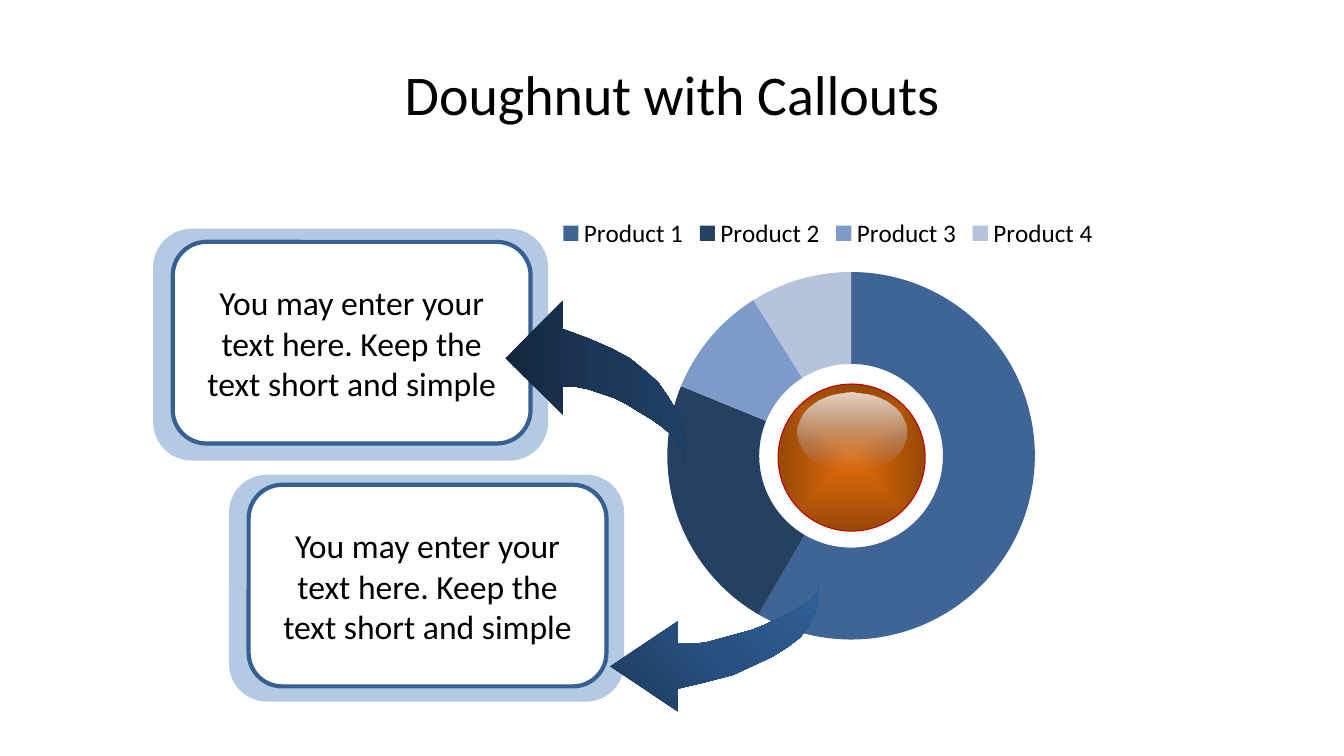
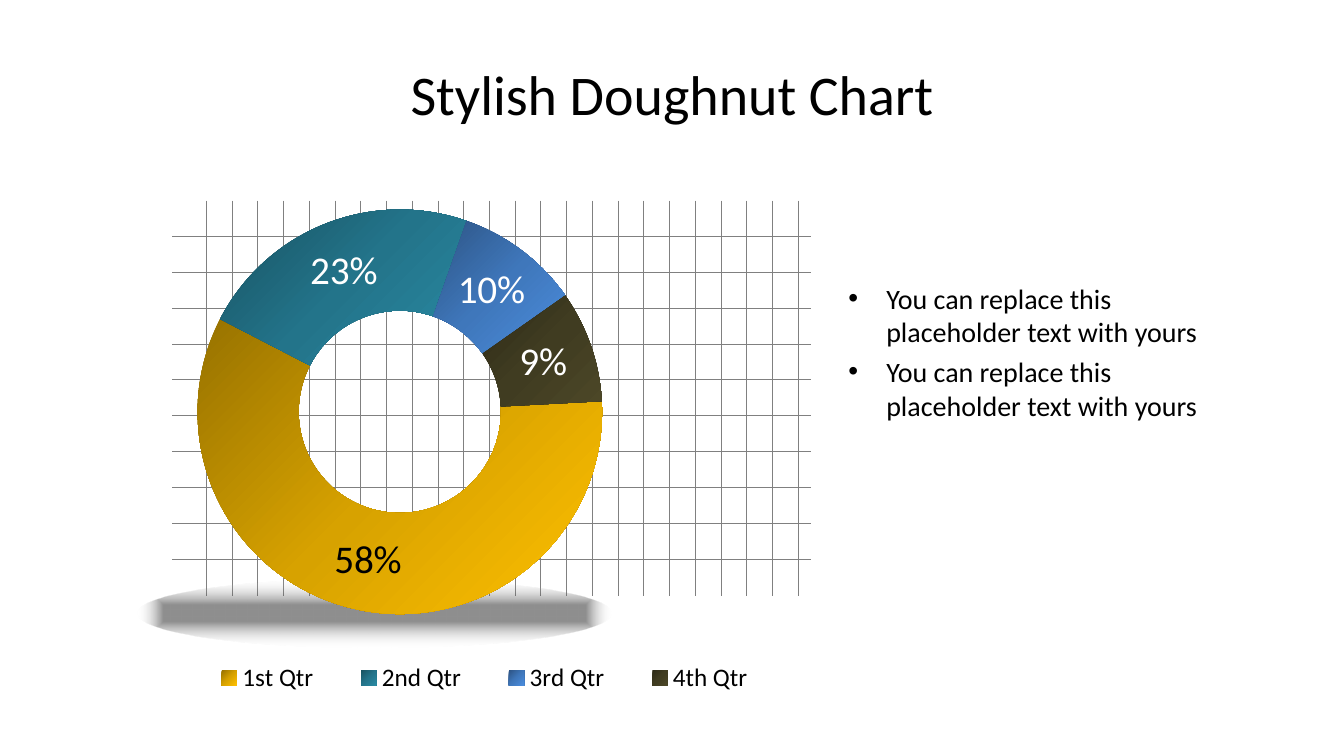
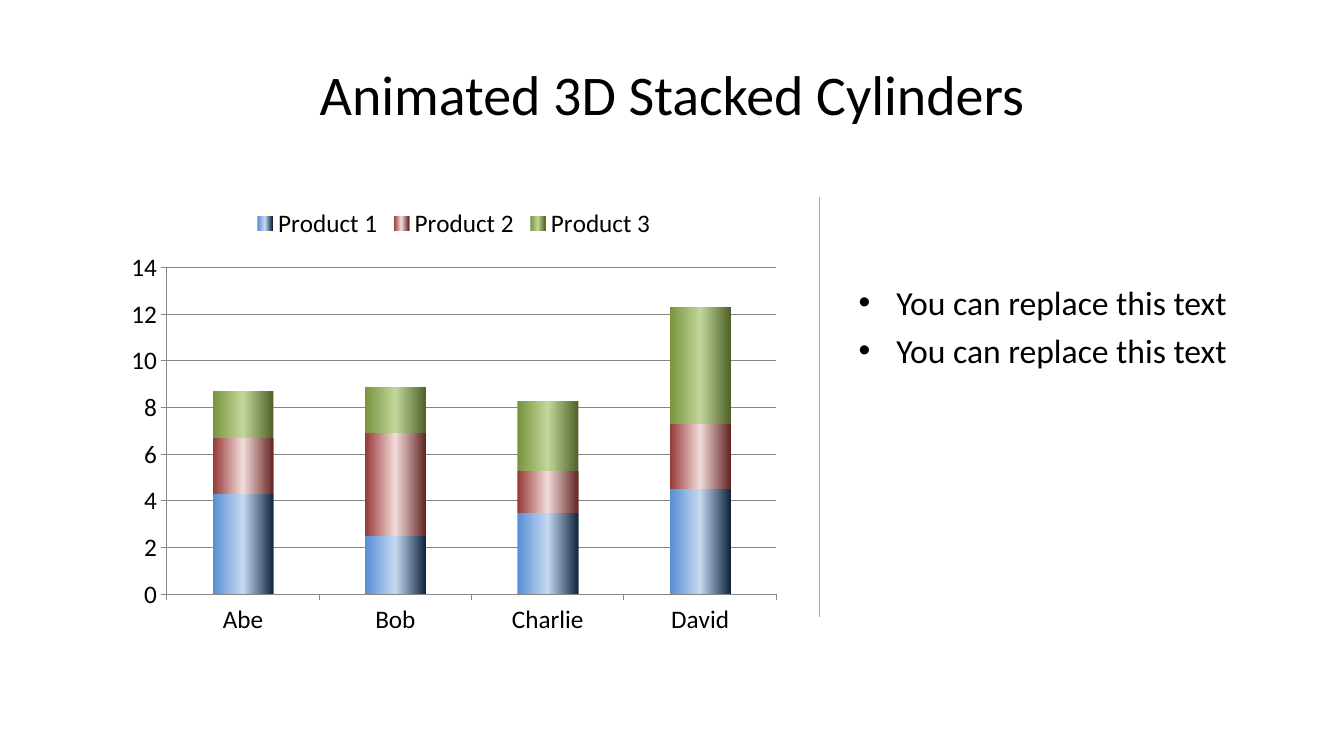
from pptx import Presentation
from pptx.chart.data import CategoryChartData
from pptx.dml.color import RGBColor
from pptx.enum.chart import XL_CHART_TYPE, XL_LEGEND_POSITION, XL_TICK_MARK
from pptx.enum.shapes import MSO_CONNECTOR, MSO_SHAPE
from pptx.enum.text import MSO_ANCHOR, PP_ALIGN
from pptx.oxml import parse_xml
from pptx.oxml.ns import nsdecls, qn
from pptx.oxml.xmlchemy import OxmlElement
from pptx.util import Pt

FONT = "Calibri"
BLACK = RGBColor(0x00, 0x00, 0x00)
WHITE = RGBColor(0xFF, 0xFF, 0xFF)
GRID_GRAY = RGBColor(0x80, 0x80, 0x80)
AXIS_GRAY = RGBColor(0x86, 0x86, 0x86)
DIVIDER_GRAY = RGBColor(0xA6, 0xA6, 0xA6)
HALO_BLUE = RGBColor(0x95, 0xB3, 0xD7)
FRAME_BLUE = RGBColor(0x37, 0x60, 0x92)
BALL_RED = RGBColor(0xC0, 0x00, 0x00)
BALL_ORANGE = RGBColor(0xE4, 0x6C, 0x0A)
BALL_BROWN = RGBColor(0x98, 0x48, 0x07)
GLOSS_BLUE = RGBColor(0x8E, 0xB4, 0xE3)
RING_BLUES = [RGBColor(0x3F, 0x65, 0x96), RGBColor(0x25, 0x40, 0x61),
              RGBColor(0x7E, 0x9A, 0xC8), RGBColor(0xB6, 0xC3, 0xDC)]
DARK_ARROW = [RGBColor(0x13, 0x26, 0x3C), RGBColor(0x1B, 0x36, 0x56), RGBColor(0x20, 0x40, 0x66)]
BLUE_ARROW = [RGBColor(0x1C, 0x39, 0x5B), RGBColor(0x28, 0x51, 0x81), RGBColor(0x30, 0x60, 0x99)]
QUARTER_COLORS = [
    [RGBColor(0x97, 0x72, 0x00), RGBColor(0xD7, 0xA2, 0x00), RGBColor(0xFF, 0xC0, 0x00)],
    [RGBColor(0x18, 0x52, 0x61), RGBColor(0x23, 0x74, 0x8A), RGBColor(0x29, 0x8A, 0xA3)],
    [RGBColor(0x2D, 0x54, 0x84), RGBColor(0x3F, 0x77, 0xBB), RGBColor(0x4B, 0x8D, 0xDE)],
    [RGBColor(0x2D, 0x2A, 0x17), RGBColor(0x40, 0x3C, 0x21), RGBColor(0x4C, 0x47, 0x27)],
]
CYLINDER_COLORS = [
    [RGBColor(0x55, 0x8E, 0xD5), RGBColor(0xC6, 0xD9, 0xF1), RGBColor(0x0F, 0x24, 0x3E)],
    [RGBColor(0x95, 0x37, 0x35), RGBColor(0xF2, 0xDC, 0xDB), RGBColor(0x63, 0x25, 0x23)],
    [RGBColor(0x77, 0x93, 0x3C), RGBColor(0xC3, 0xD6, 0x9B), RGBColor(0x4F, 0x62, 0x28)],
]
CALLOUT_TEXT = "You may enter your text here. Keep the text short and simple"
SHARES = [59, 23, 10, 9]

UPPER_ARROW = [
    (489.6, 329), (488.9, 316.1), (486.7, 303.8), (483.1, 293), (477.4, 283), (470.2, 272.9),
    (460.8, 265), (450, 256.3), (437, 249.1), (421.2, 241.9), (402.5, 235.4), (402.5, 215.3),
    (361.4, 255.6), (402.5, 295.9), (402.5, 275.8), (410.4, 276.5), (419.8, 277.9),
    (429.1, 280.8), (437.8, 284.4), (447.8, 288.7), (456.5, 293.8), (465.8, 299.5),
    (473, 305.3), (479.5, 311), (484.6, 317.5), (488.2, 323.3), (488.9, 329),
]
LOWER_ARROW = [
    (585.4, 418.3), (585.4, 428.4), (582.5, 437.8), (578.2, 446.4), (571.7, 455), (563, 462.2),
    (552.2, 468.7), (539.3, 475.2), (524.2, 481.7), (505.4, 486.7), (483.8, 492.5),
    (483.8, 508.3), (435.6, 475.9), (483.8, 444.2), (483.8, 460.1), (493.2, 460.1),
    (504, 458.6), (514.8, 456.5), (525.6, 452.9), (537.1, 450), (547.2, 445.7),
    (557.3, 441.4), (566.6, 437), (573.8, 432), (579.6, 427.7), (583.9, 422.6),
]


def set_gradient(fill, stops, angle=None):
    fill.gradient()
    gs = "".join(
        f'<a:gs pos="{pos * 1000}"><a:srgbClr val="{color}">'
        f'<a:alpha val="{alpha * 1000}"/></a:srgbClr></a:gs>'
        for pos, color, alpha in stops)
    if angle is None:
        shade = ('<a:path path="shape"><a:fillToRect l="50000" t="50000" '
                 'r="50000" b="50000"/></a:path>')
    else:
        shade = f'<a:lin ang="{angle * 60000}" scaled="0"/>'
    old = fill._xPr.find(qn("a:gradFill"))
    new = parse_xml(f'<a:gradFill {nsdecls("a")} rotWithShape="1">'
                    f'<a:gsLst>{gs}</a:gsLst>{shade}</a:gradFill>')
    fill._xPr.replace(old, new)


def set_three_tone(fill, colors, angle):
    set_gradient(fill, [(pos, c, 100) for pos, c in zip((0, 50, 100), colors)], angle)


def format_font(font, size, color=BLACK):
    font.name = FONT
    font.size = Pt(size)
    font.color.rgb = color


def add_titled_slide(prs, title):
    s = prs.slides.add_slide(prs.slide_layouts[5])
    sp = s.shapes.title
    sp.left, sp.top, sp.width, sp.height = Pt(48), Pt(21.6), Pt(864), Pt(90)
    tf = sp.text_frame
    tf.text = title
    tf.vertical_anchor = MSO_ANCHOR.MIDDLE
    p = tf.paragraphs[0]
    p.alignment = PP_ALIGN.CENTER
    format_font(p.runs[0].font, 40)
    return s


def add_plain_shape(s, kind, left, top, width, height, line=None, weight=0.75):
    sp = s.shapes.add_shape(kind, Pt(left), Pt(top), Pt(width), Pt(height))
    sp.shadow.inherit = False
    if line is None:
        sp.line.fill.background()
    else:
        sp.line.color.rgb = line
        sp.line.width = Pt(weight)
    return sp


def add_callout(s, left, top, height, frame_top):
    halo = add_plain_shape(s, MSO_SHAPE.ROUNDED_RECTANGLE, left, top, 282.2, height)
    halo.fill.solid()
    halo.fill.fore_color.rgb = HALO_BLUE
    alpha = OxmlElement("a:alpha")
    alpha.set("val", "70000")
    halo.fill._xPr.find(qn("a:solidFill"))[0].append(alpha)
    frame = add_plain_shape(s, MSO_SHAPE.ROUNDED_RECTANGLE, left + 14, frame_top, 255.6, 144,
                            FRAME_BLUE, 3)
    frame.fill.solid()
    frame.fill.fore_color.rgb = WHITE
    tf = frame.text_frame
    tf.word_wrap = True
    tf.text = CALLOUT_TEXT
    tf.vertical_anchor = MSO_ANCHOR.MIDDLE
    p = tf.paragraphs[0]
    p.alignment = PP_ALIGN.CENTER
    format_font(p.runs[0].font, 24)


def add_curved_arrow(s, points, colors, angle):
    builder = s.shapes.build_freeform(*points[0], scale=Pt(1))
    builder.add_line_segments(points[1:], close=True)
    sp = builder.convert_to_shape()
    sp.shadow.inherit = False
    sp.line.fill.background()
    set_three_tone(sp.fill, colors, angle)


def add_line(s, x1, y1, x2, y2, color, weight):
    line = s.shapes.add_connector(MSO_CONNECTOR.STRAIGHT, Pt(x1), Pt(y1), Pt(x2), Pt(y2))
    line.line.color.rgb = color
    line.line.width = Pt(weight)
    line._element.spPr.append(OxmlElement("a:effectLst"))


def add_grid(s):
    for i in range(10):
        y = 168.7 + 25.68 * i
        add_line(s, 123, y, 579, y, GRID_GRAY, 0.75)
    for i in range(24):
        x = 147.5 + 18.38 * i
        add_line(s, x, 143.3, x, 425.5, GRID_GRAY, 0.75)


def add_bullets(s, left, top, width, height, texts, size):
    tf = s.shapes.add_textbox(Pt(left), Pt(top), Pt(width), Pt(height)).text_frame
    tf.word_wrap = True
    for i, text in enumerate(texts):
        p = tf.add_paragraph() if i else tf.paragraphs[0]
        p.text = text
        pPr = p._p.get_or_add_pPr()
        pPr.set("marL", str(Pt(27)))
        pPr.set("indent", str(Pt(-27)))
        if i:
            p.space_before = Pt(round(size * 0.22, 1))
        pPr.append(parse_xml(f'<a:buFont {nsdecls("a")} typeface="Arial"/>'))
        pPr.append(parse_xml(f'<a:buChar {nsdecls("a")} char="•"/>'))
        format_font(p.runs[0].font, size)


def add_styled_chart(s, kind, left, top, width, height, categories, series, legend):
    data = CategoryChartData()
    data.categories = categories
    for name, values in series:
        data.add_series(name, values)
    chart = s.shapes.add_chart(kind, Pt(left), Pt(top), Pt(width), Pt(height), data).chart
    chart.has_title = False
    format_font(chart.font, 18)
    chart.has_legend = True
    chart.legend.position = legend
    chart.legend.include_in_layout = False
    return chart


def set_layout(parent, index, x, y, w, h, target=""):
    for old in parent.findall(qn("c:layout")):
        parent.remove(old)
    parent.insert(index, parse_xml(
        f'<c:layout {nsdecls("c")}><c:manualLayout>{target}'
        '<c:xMode val="edge"/><c:yMode val="edge"/>'
        f'<c:x val="{x}"/><c:y val="{y}"/><c:w val="{w}"/><c:h val="{h}"/>'
        '</c:manualLayout></c:layout>'))


def add_doughnut(s, left, top, width, height, categories, legend, plot_box, start=0):
    chart = add_styled_chart(s, XL_CHART_TYPE.DOUGHNUT, left, top, width, height,
                             categories, [("Series 1", SHARES)], legend)
    plot_area = chart._chartSpace.chart.plotArea
    set_layout(plot_area, 0, *plot_box, target='<c:layoutTarget val="inner"/>')
    ring = plot_area.find(qn("c:doughnutChart"))
    ring.find(qn("c:firstSliceAng")).set("val", str(start))
    ring.find(qn("c:holeSize")).set("val", "50")
    for i in range(len(SHARES)):
        chart.plots[0].series[0].points[i].format.line.fill.background()
    return chart


def add_percent_labels(series):
    labels = series.data_labels
    labels.show_percentage = True
    labels.show_value = False
    labels.number_format = "0%"
    labels.number_format_is_linked = False
    format_font(labels.font, 28, WHITE)
    format_font(series.points[0].data_label.font, 28)
    first = series._element.find(qn("c:dLbls")).find(qn("c:dLbl"))
    first.find(qn("c:showVal")).set("val", "0")
    first.find(qn("c:showPercent")).set("val", "1")


def build_callout_slide(prs):
    s = add_titled_slide(prs, "Doughnut with Callouts")
    chart = add_doughnut(s, 351.4, 146.9, 480, 320, [f"Product {i}" for i in range(1, 5)],
                         XL_LEGEND_POSITION.TOP, (0.261, 0.148, 0.547, 0.821))
    for i, color in enumerate(RING_BLUES):
        fill = chart.plots[0].series[0].points[i].format.fill
        fill.solid()
        fill.fore_color.rgb = color
    ball = add_plain_shape(s, MSO_SHAPE.OVAL, 555.8, 274.3, 105.1, 105.1, BALL_RED)
    set_gradient(ball.fill, [(0, BALL_ORANGE, 100), (100, BALL_BROWN, 100)])
    gloss = add_plain_shape(s, MSO_SHAPE.OVAL, 569.5, 280.1, 77.8, 56.9)
    set_gradient(gloss.fill, [(0, WHITE, 77), (100, GLOSS_BLUE, 0)], 90)
    add_callout(s, 109.4, 163.4, 165.6, 172.8)
    add_curved_arrow(s, UPPER_ARROW, DARK_ARROW, 0)
    add_callout(s, 163.6, 339.1, 162, 346.3)
    add_curved_arrow(s, LOWER_ARROW, BLUE_ARROW, 315)


def build_stylish_slide(prs):
    s = add_titled_slide(prs, "Stylish Doughnut Chart")
    add_grid(s)
    shadow = add_plain_shape(s, MSO_SHAPE.OVAL, 98.6, 413.3, 338.4, 49)
    set_gradient(shadow.fill, [(24, BLACK, 44), (100, WHITE, 0)])
    add_bullets(s, 599, 197.3, 290.9, 267.8,
                ["You can replace this placeholder text with yours"] * 2, 20)
    chart = add_doughnut(s, 110.9, 125.3, 480, 375.8,
                         ["1st Qtr", "2nd Qtr", "3rd Qtr", "4th Qtr"],
                         XL_LEGEND_POSITION.RIGHT, (0.063, 0.065, 0.602, 0.769), 87)
    set_layout(chart.legend._element, 1, 0.04, 0.91, 0.9, 0.09)
    series = chart.plots[0].series[0]
    for i, colors in enumerate(QUARTER_COLORS):
        set_three_tone(series.points[i].format.fill, colors, 45)
    add_percent_labels(series)


def build_cylinder_slide(prs):
    s = add_titled_slide(prs, "Animated 3D Stacked Cylinders")
    add_bullets(s, 606.2, 198, 290.9, 242.6, ["You can replace this text"] * 2, 24)
    chart = add_styled_chart(
        s, XL_CHART_TYPE.COLUMN_STACKED, 84.2, 139.7, 480, 320,
        ["Abe", "Bob", "Charlie", "David"],
        [("Product 1", [4.3, 2.5, 3.5, 4.5]),
         ("Product 2", [2.4, 4.4, 1.8, 2.8]),
         ("Product 3", [2, 2, 3, 5])],
        XL_LEGEND_POSITION.TOP)
    plot = chart.plots[0]
    plot.vary_by_categories = False
    plot.gap_width = 150
    plot.overlap = 100
    for series, colors in zip(plot.series, CYLINDER_COLORS):
        set_three_tone(series.format.fill, colors, 0)
    for axis in (chart.category_axis, chart.value_axis):
        axis.major_tick_mark = XL_TICK_MARK.OUTSIDE
        axis.minor_tick_mark = XL_TICK_MARK.NONE
        axis.format.line.color.rgb = AXIS_GRAY
    chart.value_axis.has_major_gridlines = True
    chart.value_axis.major_gridlines.format.line.color.rgb = AXIS_GRAY
    add_line(s, 585.4, 140.4, 585.4, 440.6, DIVIDER_GRAY, 0.5)


def main():
    prs = Presentation()
    prs.slide_width, prs.slide_height = Pt(960), Pt(540)
    build_callout_slide(prs)
    build_stylish_slide(prs)
    build_cylinder_slide(prs)
    prs.save("out.pptx")


if __name__ == "__main__":
    main()
